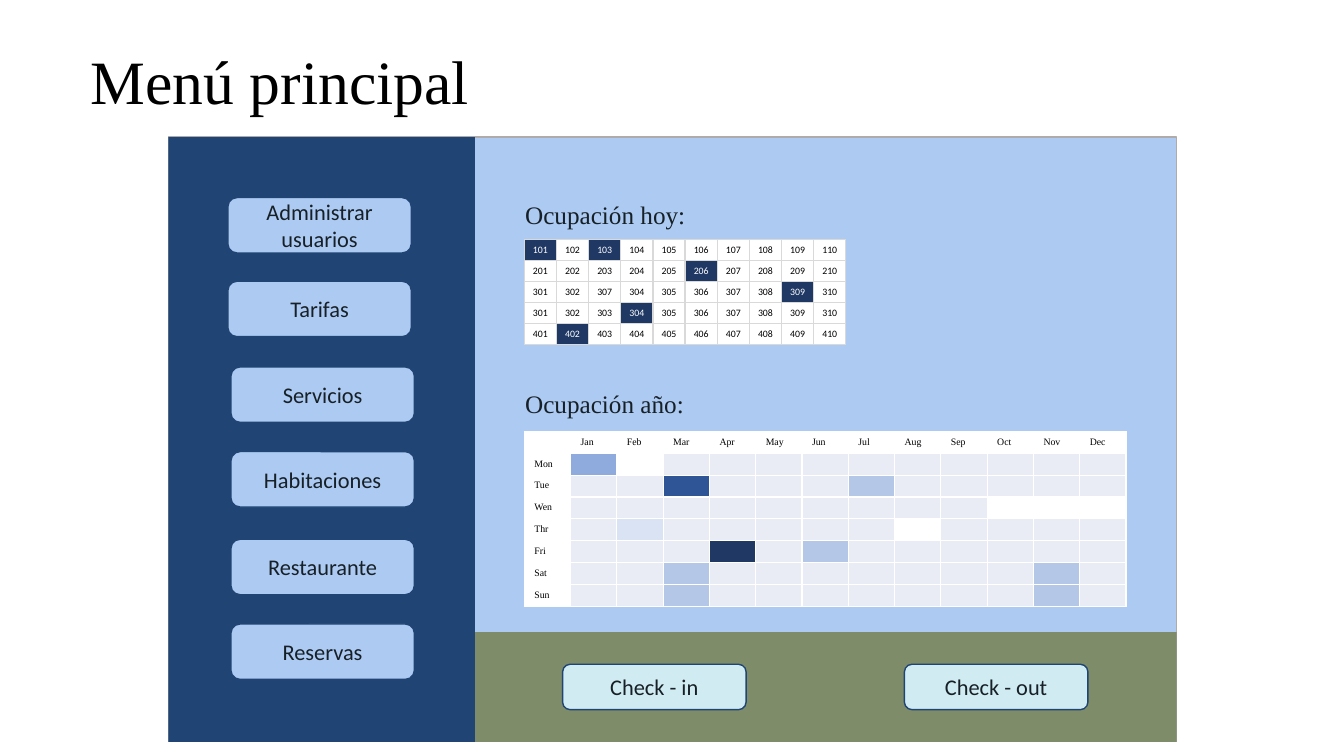
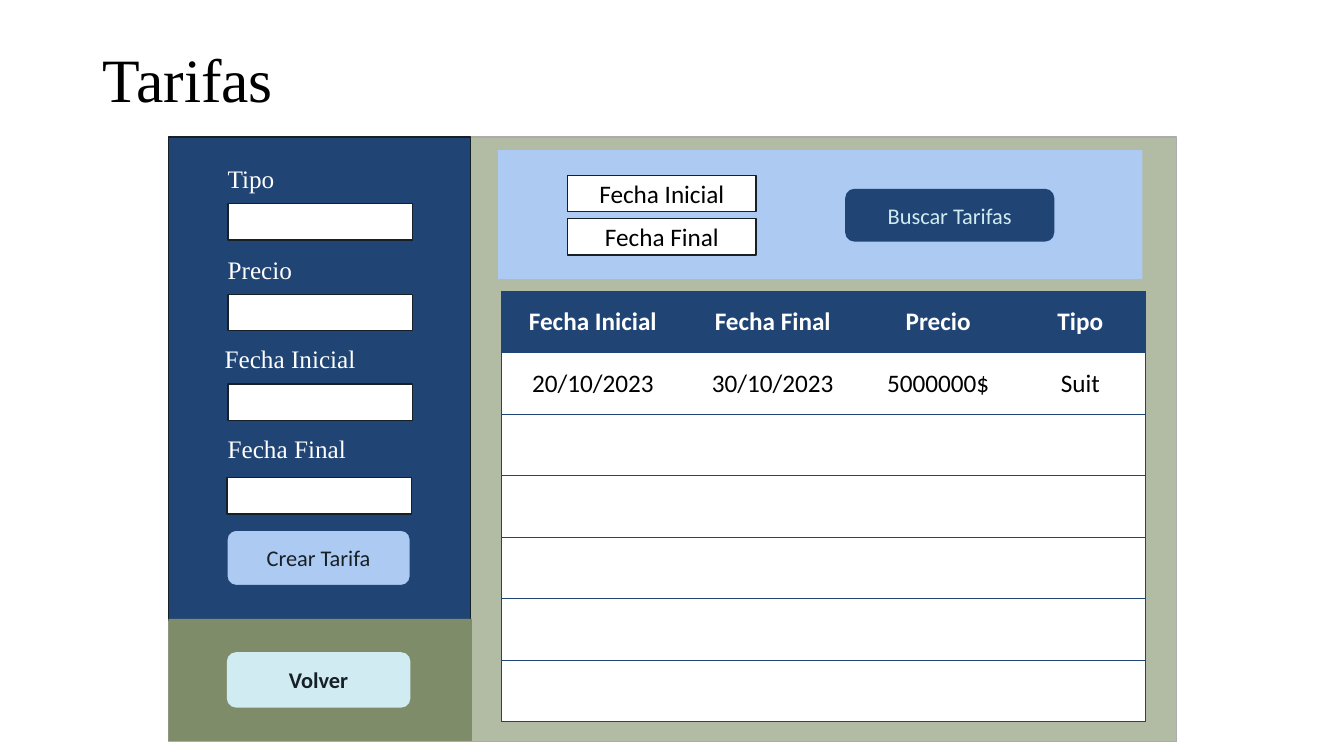
from dataclasses import dataclass, replace
from typing import Optional

from lxml.etree import SubElement
from pptx import Presentation
from pptx.dml.color import RGBColor
from pptx.enum.shapes import MSO_SHAPE
from pptx.enum.text import MSO_ANCHOR, MSO_AUTO_SIZE, PP_ALIGN
from pptx.oxml.ns import qn
from pptx.util import Inches, Pt

NAVY = RGBColor(0x20, 0x44, 0x73)
SKY = RGBColor(0xAC, 0xCA, 0xF2)
ICE = RGBColor(0xD0, 0xEC, 0xF2)
OLIVE = RGBColor(0x7E, 0x8C, 0x69)
SAGE = RGBColor(0xB2, 0xBB, 0xA4)
INK = RGBColor(0x17, 0x20, 0x26)
BLACK = RGBColor(0x00, 0x00, 0x00)
WHITE = RGBColor(0xFF, 0xFF, 0xFF)
FRAME_GRAY = RGBColor(0xAF, 0xAB, 0xAB)
GRID_GRAY = RGBColor(0xD9, 0xD9, 0xD9)
IDLE = RGBColor(0xE9, 0xEB, 0xF5)
PALE = RGBColor(0xDA, 0xE3, 0xF3)
LIGHT = RGBColor(0xB4, 0xC7, 0xE7)
MEDIUM = RGBColor(0x8F, 0xAA, 0xDC)
STRONG = RGBColor(0x2F, 0x55, 0x97)
FULL = RGBColor(0x20, 0x38, 0x64)

SERIF = "Times New Roman"
SANS = "Calibri"

MONTHS = ("Jan", "Feb", "Mar", "Apr", "May", "Jun",
          "Jul", "Aug", "Sep", "Oct", "Nov", "Dec")
DAYS = ("Mon", "Tue", "Wen", "Thr", "Fri", "Sat", "Sun")
YEAR_SHADES = {
    ("Mon", "Jan"): MEDIUM, ("Mon", "Feb"): WHITE,
    ("Tue", "Mar"): STRONG, ("Tue", "Jul"): LIGHT,
    ("Wen", "Oct"): WHITE, ("Wen", "Nov"): WHITE, ("Wen", "Dec"): WHITE,
    ("Thr", "Feb"): PALE, ("Thr", "Aug"): WHITE,
    ("Fri", "Apr"): FULL, ("Fri", "Jun"): LIGHT,
    ("Sat", "Mar"): LIGHT, ("Sat", "Nov"): LIGHT,
    ("Sun", "Mar"): LIGHT, ("Sun", "Nov"): LIGHT,
}
FLOORS = (1, 2, 3, 3, 4)
OCCUPIED = {(0, 0), (0, 2), (1, 5), (2, 8), (3, 3), (4, 1)}


@dataclass(frozen=True)
class Area:
    left: float
    top: float
    width: float
    height: float

    def lengths(self) -> tuple:
        return tuple(map(Inches, (self.left, self.top, self.width, self.height)))


@dataclass(frozen=True)
class TextStyle:
    size: float
    name: str = SANS
    color: RGBColor = BLACK
    bold: bool = False


@dataclass(frozen=True)
class BoxStyle:
    fill: RGBColor
    line: Optional[RGBColor] = None
    text: Optional[TextStyle] = None
    outline: MSO_SHAPE = MSO_SHAPE.RECTANGLE


@dataclass(frozen=True)
class CellStyle:
    fill: RGBColor
    text: TextStyle
    centered: bool = True
    margin: Optional[float] = None


@dataclass(frozen=True)
class Border:
    color: RGBColor
    width: float
    inner_verticals: bool = True


TITLE = TextStyle(44, SERIF)
HEADING = TextStyle(18, SERIF, INK)
FIELD_LABEL = TextStyle(18, SERIF, WHITE)
BUTTON_TEXT = TextStyle(16, SANS, INK)
MENU_BUTTON = BoxStyle(SKY, NAVY, BUTTON_TEXT, MSO_SHAPE.ROUNDED_RECTANGLE)
CHECK_BUTTON = replace(MENU_BUTTON, fill=ICE)
BACK_BUTTON = replace(CHECK_BUTTON, line=None, text=replace(BUTTON_TEXT, bold=True))
SEARCH_BUTTON = replace(MENU_BUTTON, fill=NAVY, text=replace(BUTTON_TEXT, color=ICE))
FIELD = BoxStyle(WHITE, INK, TextStyle(18))
WINDOW = Area(1.67, 1.36, 10, 6)


def format_span(span, style: TextStyle) -> None:
    values = {"size": Pt(style.size), "name": style.name, "bold": style.bold}
    for attribute, value in values.items():
        setattr(span.font, attribute, value)
    span.font.color.rgb = style.color


def write_line(frame, text: str, style: TextStyle, align=PP_ALIGN.LEFT):
    para = frame.paragraphs[0]
    para.alignment = align
    span = para.add_run()
    span.text = text
    format_span(span, style)
    return para


def add_titled_page(deck, title: str, area: Area):
    page = deck.slides.add_slide(deck.slide_layouts[5])
    holder = page.shapes.title
    holder.left, holder.top, holder.width, holder.height = area.lengths()
    frame = holder.text_frame
    frame.auto_size = MSO_AUTO_SIZE.NONE
    frame.vertical_anchor = MSO_ANCHOR.MIDDLE
    write_line(frame, title, TITLE).line_spacing = 0.9
    return page


def add_box(shapes, area: Area, style: BoxStyle, text: str = "") -> None:
    box = shapes.add_shape(style.outline, *area.lengths())
    box.shadow.inherit = False
    box.fill.solid()
    box.fill.fore_color.rgb = style.fill
    if style.line is None:
        box.line.fill.background()
    else:
        box.line.color.rgb = style.line
        box.line.width = Pt(1)
    if text:
        box.text_frame.word_wrap = True
        box.text_frame.vertical_anchor = MSO_ANCHOR.MIDDLE
        write_line(box.text_frame, text, style.text, PP_ALIGN.CENTER)


def add_label(page, left: float, top: float, width: float, text: str,
              style: TextStyle, space_after: float = 0) -> None:
    box = page.shapes.add_textbox(*Area(left, top, width, 0.4).lengths())
    box.text_frame.word_wrap = True
    box.text_frame.auto_size = MSO_AUTO_SIZE.SHAPE_TO_FIT_TEXT
    write_line(box.text_frame, text, style).space_after = Pt(space_after)


def set_borders(cell, border: Border, first: bool, last: bool) -> None:
    """Draw all four edges, leaving out inner verticals if the border says so."""
    visible = {"L": first or border.inner_verticals,
               "R": last or border.inner_verticals, "T": True, "B": True}
    properties = cell._tc.get_or_add_tcPr()
    for side, shown in visible.items():
        edge = SubElement(properties, qn(f"a:ln{side}"), w=str(Pt(border.width)))
        if shown:
            fill = SubElement(edge, qn("a:solidFill"))
            SubElement(fill, qn("a:srgbClr"), val=str(border.color))
        else:
            SubElement(edge, qn("a:noFill"))


def fill_cell(cell, text: str, style: CellStyle) -> None:
    cell.fill.solid()
    cell.fill.fore_color.rgb = style.fill
    if style.margin is not None:
        for side in ("left", "right", "top", "bottom"):
            setattr(cell, f"margin_{side}", Inches(style.margin))
    if style.centered:
        cell.vertical_anchor = MSO_ANCHOR.MIDDLE
    if text:
        align = PP_ALIGN.CENTER if style.centered else PP_ALIGN.LEFT
        write_line(cell.text_frame, text, style.text, align)
    else:
        # An empty cell needs its own text size, or its row grows.
        SubElement(cell.text_frame.paragraphs[0]._p, qn("a:endParaRPr"),
                   sz=str(int(style.text.size * 100)))


def add_grid(page, area: Area, rows: list, border: Border, widths=None) -> None:
    """Draw rows of (text, CellStyle) pairs; columns are equal without widths."""
    count = len(rows[0])
    table = page.shapes.add_table(len(rows), count, *area.lengths()).table
    table.first_row = table.horz_banding = False
    for column, width in zip(table.columns, widths or [area.width / count] * count):
        column.width = Inches(width)
    for r, row in enumerate(rows):
        table.rows[r].height = Inches(area.height / len(rows))
        for c, (text, style) in enumerate(row):
            cell = table.cell(r, c)
            set_borders(cell, border, c == 0, c == count - 1)
            fill_cell(cell, text, style)


def room_rows() -> list:
    free = CellStyle(WHITE, TextStyle(7), margin=0)
    taken = CellStyle(FULL, TextStyle(7, color=WHITE), margin=0)
    rows = [[(f"{floor}{c + 1:02}", taken if (r, c) in OCCUPIED else free)
             for c in range(10)] for r, floor in enumerate(FLOORS)]
    rows[2][2] = ("307", free)
    return rows


def year_rows() -> list:
    header = CellStyle(WHITE, TextStyle(7, SERIF), centered=False)
    rows = [[(text, header) for text in ("", *MONTHS)]]
    for day in DAYS:
        shades = [YEAR_SHADES.get((day, month), IDLE) for month in MONTHS]
        rows.append([(day, header)] + [("", replace(header, fill=s)) for s in shades])
    return rows


def rate_rows() -> list:
    header = CellStyle(NAVY, TextStyle(18, color=WHITE, bold=True))
    body = CellStyle(WHITE, TextStyle(18))
    names = ("Fecha Inicial", "Fecha Final", "Precio", "Tipo")
    rate = ("20/10/2023", "30/10/2023", "5000000$", "Suit")
    blanks = [("",) * len(names)] * 5
    return ([[(text, header) for text in names]]
            + [[(text, body) for text in row] for row in (rate, *blanks)])


def build_main_menu(deck) -> None:
    page = add_titled_page(deck, "Menú principal", Area(0.8, 0.11, 11.5, 1.45))
    add_box(page.shapes, WINDOW, BoxStyle(SKY, FRAME_GRAY))
    add_box(page.shapes, Area(4.71, 6.27, 6.96, 1.09), BoxStyle(OLIVE))
    add_box(page.shapes, Area(1.67, 1.36, 3.04, 6), BoxStyle(NAVY))

    checks = page.shapes.add_group_shape().shapes
    for left, text in ((5.58, "Check - in"), (8.97, "Check - out")):
        add_box(checks, Area(left, 6.59, 1.82, 0.45), CHECK_BUTTON, text)

    add_label(page, 5.11, 1.93, 2.39, "Ocupación hoy:", HEADING)
    add_grid(page, Area(5.2, 2.38, 3.19, 1.04), room_rows(), Border(GRID_GRAY, 1))
    add_label(page, 5.11, 3.8, 2.39, "Ocupación año:", HEADING)
    add_grid(page, Area(5.2, 4.28, 5.97, 1.73), year_rows(), Border(WHITE, 1))

    menu = page.shapes.add_group_shape().shapes
    for left, top, text in (
        (2.26, 1.96, "Administrar usuarios"), (2.26, 2.79, "Tarifas"),
        (2.29, 3.64, "Servicios"), (2.29, 4.48, "Habitaciones"),
        (2.29, 5.35, "Restaurante"), (2.29, 6.19, "Reservas"),
    ):
        add_box(menu, Area(left, top, 1.82, 0.55), MENU_BUTTON, text)


def build_rates(deck) -> None:
    page = add_titled_page(deck, "Tarifas", Area(0.92, 0.38, 11.5, 0.88))
    add_box(page.shapes, WINDOW, BoxStyle(SAGE, FRAME_GRAY))
    add_box(page.shapes, Area(1.67, 1.36, 3, 4.79), BoxStyle(NAVY, INK))
    add_box(page.shapes, Area(1.67, 6.14, 3.01, 1.21), BoxStyle(OLIVE))
    add_box(page.shapes, Area(2.25, 5.26, 1.82, 0.55), MENU_BUTTON, "Crear Tarifa")
    add_box(page.shapes, Area(2.25, 6.47, 1.82, 0.55), BACK_BUTTON, "Volver")

    for label_left, label_top, text, left, top in (
        (2.16, 1.57, "Tipo", 2.26, 2.02),
        (2.16, 2.47, "Precio", 2.26, 2.92),
        (2.13, 3.36, "Fecha Inicial", 2.26, 3.81),
        (2.16, 4.25, "Fecha Final", 2.25, 4.74),
    ):
        add_label(page, label_left, label_top, 2.07, text, FIELD_LABEL, space_after=6)
        add_box(page.shapes, Area(left, top, 1.83, 0.36), FIELD)

    add_grid(page, Area(4.97, 2.89, 6.39, 4.27), rate_rows(),
             Border(NAVY, 0.5, inner_verticals=False), (1.82, 1.75, 1.53, 1.29))

    add_box(page.shapes, Area(4.94, 1.49, 6.39, 1.28), BoxStyle(SKY))
    dates = page.shapes.add_group_shape().shapes
    for top, text in ((1.74, "Fecha Inicial"), (2.17, "Fecha Final")):
        add_box(dates, Area(5.63, top, 1.87, 0.36), FIELD, text)
    add_box(page.shapes, Area(8.39, 1.88, 2.06, 0.51), SEARCH_BUTTON, "Buscar Tarifas")


def main() -> None:
    deck = Presentation()
    deck.slide_width, deck.slide_height = Inches(13.33), Inches(7.5)
    build_main_menu(deck)
    build_rates(deck)
    deck.save("out.pptx")


if __name__ == "__main__":
    main()
